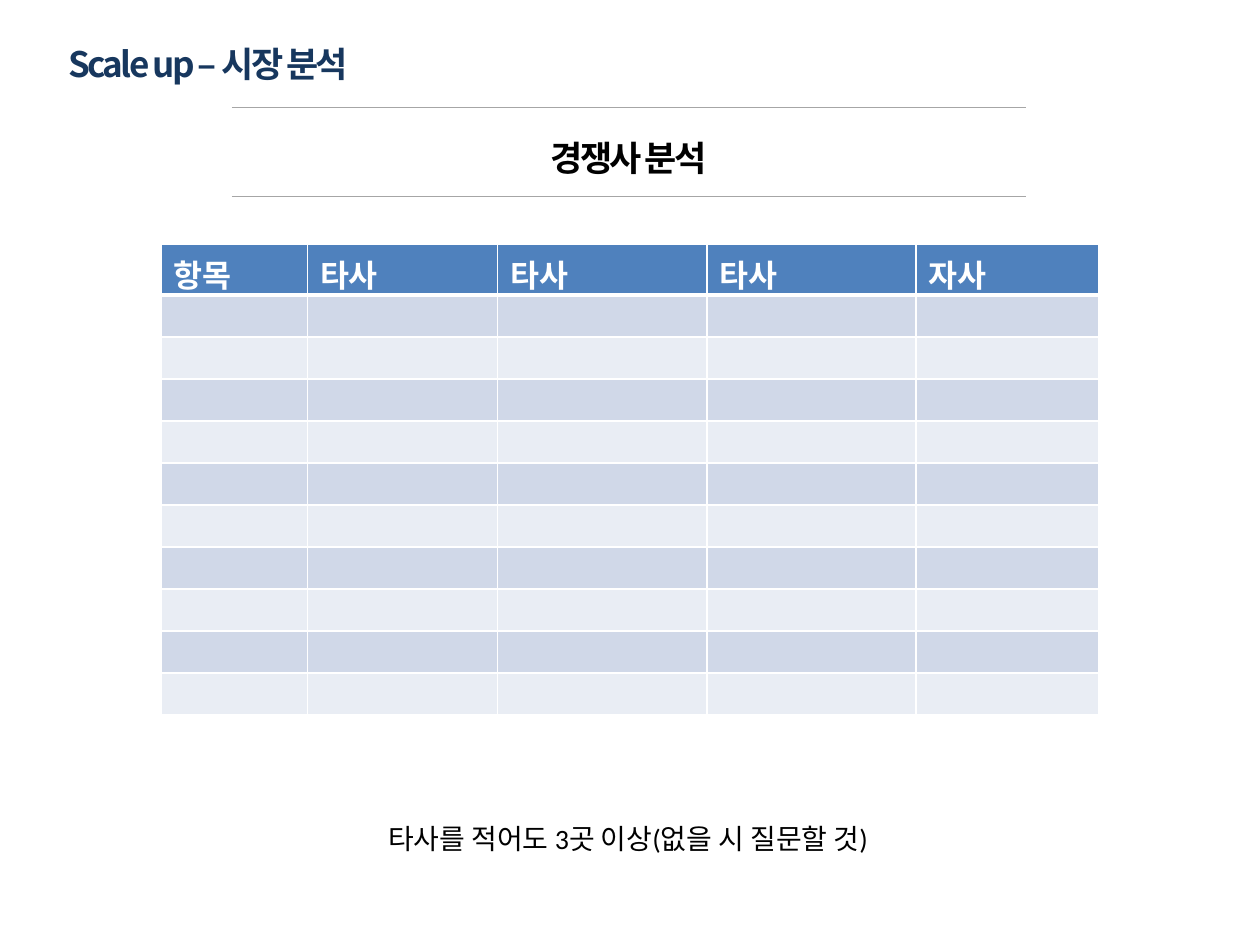
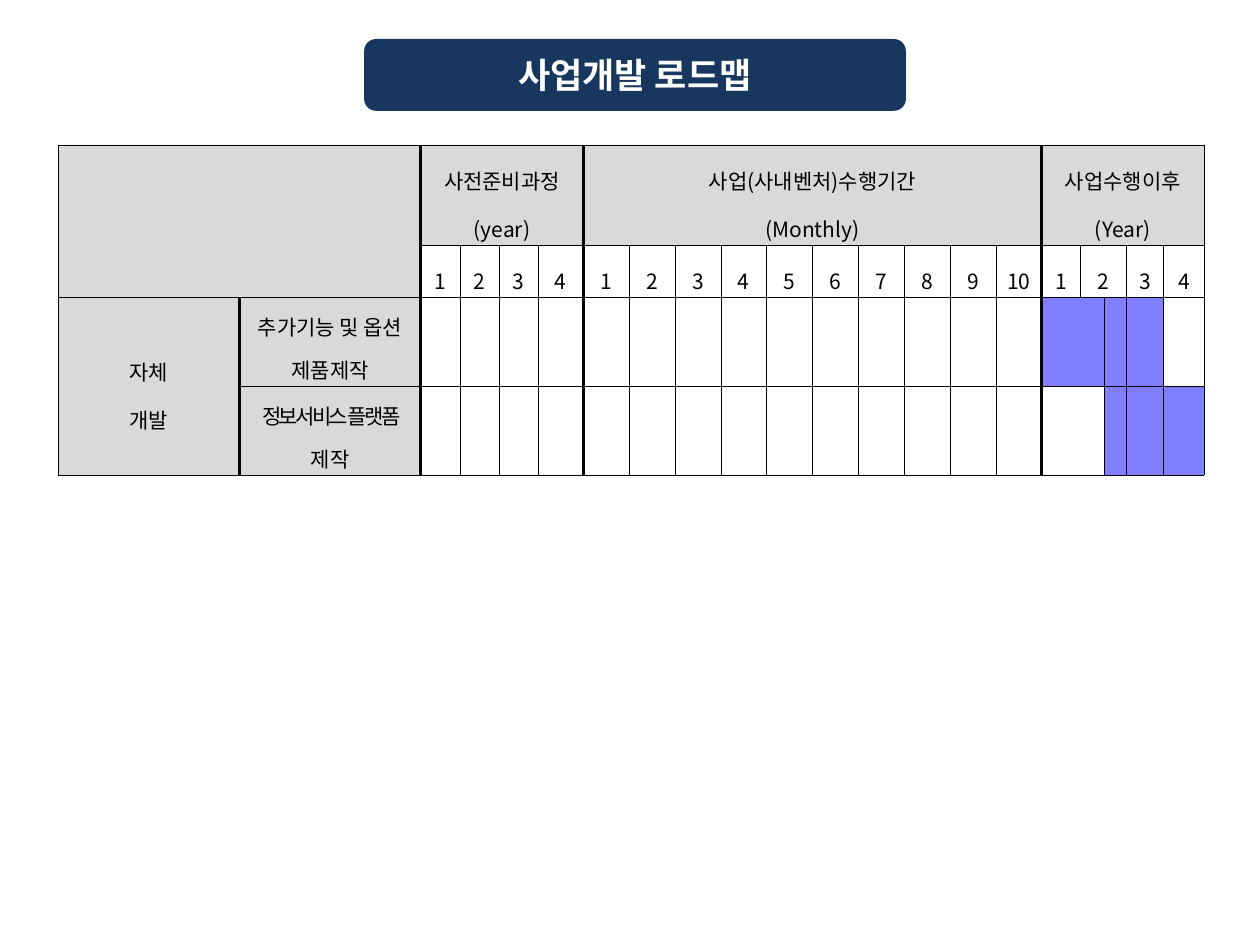
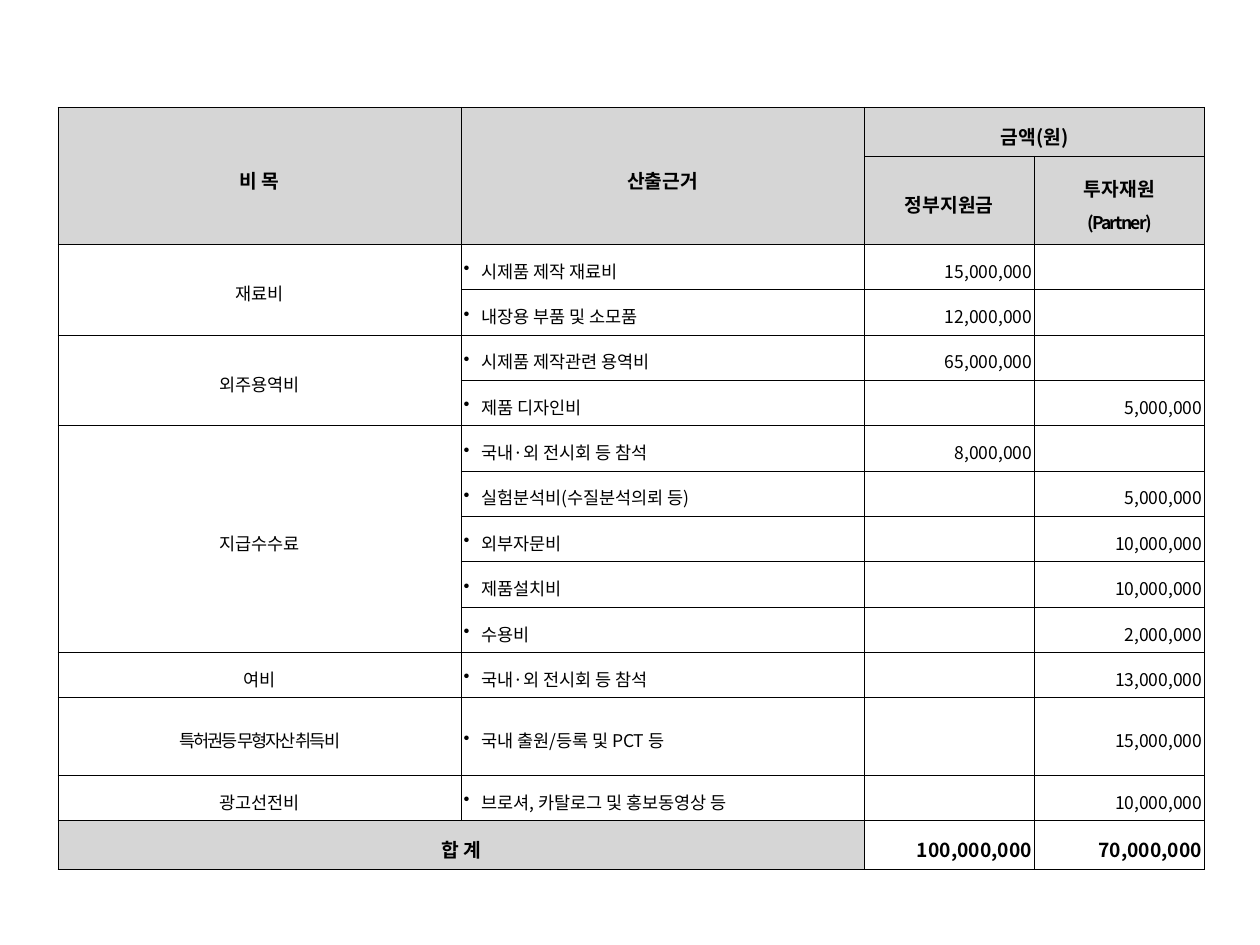
from dataclasses import dataclass, replace
from lxml import etree
from pptx import Presentation
from pptx.dml.color import RGBColor
from pptx.enum.shapes import MSO_CONNECTOR, MSO_SHAPE
from pptx.enum.text import MSO_ANCHOR, PP_ALIGN
from pptx.oxml.ns import qn
from pptx.util import Inches, Pt

WIDTH, HEIGHT = Inches(10), Inches(7.5)
LEFT, CENTER, RIGHT, JUSTIFY = PP_ALIGN.LEFT, PP_ALIGN.CENTER, PP_ALIGN.RIGHT, PP_ALIGN.JUSTIFY
MIDDLE = MSO_ANCHOR.MIDDLE
STRAIGHT, ROUNDED = MSO_CONNECTOR.STRAIGHT, MSO_SHAPE.ROUNDED_RECTANGLE

BLACK = RGBColor(0x00, 0x00, 0x00)
WHITE = RGBColor(0xFF, 0xFF, 0xFF)
NAVY = RGBColor(0x17, 0x37, 0x5E)
RULE_GRAY = RGBColor(0xA6, 0xA6, 0xA6)
HEADER_BLUE = RGBColor(0x4F, 0x81, 0xBD)
BAND_DARK = RGBColor(0xD0, 0xD8, 0xE8)
BAND_LIGHT = RGBColor(0xE9, 0xED, 0xF4)
ROADMAP_GRAY = RGBColor(0xD9, 0xD9, 0xD9)
BUDGET_GRAY = RGBColor(0xD6, 0xD6, 0xD6)
SCHEDULE_BLUE = RGBColor(0x7F, 0x7F, 0xFF)

KOREAN_FONT, LATIN_FONT = "Noto Sans CJK KR", "Calibri"
THIN, THICK = 0.28, 1.98


@dataclass(frozen=True)
class Style:
    size: float
    color: RGBColor = BLACK
    bold: bool = False
    font: str = KOREAN_FONT
    align: PP_ALIGN = CENTER
    line: float = 1
    tracking: float = 0
    bullet: bool = False


TITLE = Style(20, bold=True, tracking=-1.5)
BANNER = Style(20, WHITE, bold=True)
NOTE = Style(16, font=LATIN_FONT, line=2)
COMPETITOR_HEAD = Style(18, WHITE, bold=True, font=LATIN_FONT, align=LEFT)
ROADMAP_HEAD = Style(12, line=1.6)
ROADMAP_TASK = Style(12, line=1.4)
BUDGET_HEAD = Style(11, bold=True, line=1.3)
BUDGET_ITEM = Style(10, line=1.3)
BUDGET_BASIS = replace(BUDGET_ITEM, align=JUSTIFY, bullet=True)
BUDGET_AMOUNT = replace(BUDGET_ITEM, align=RIGHT)
BUDGET_TOTAL = replace(BUDGET_HEAD, align=RIGHT)


def across(percent):
    return round(WIDTH * percent / 100)


def down(percent):
    return round(HEIGHT * percent / 100)


def place(left, top, width, height):
    return across(left), down(top), across(width), down(height)


def format_span(span, style):
    span.font.size = Pt(style.size)
    span.font.bold = style.bold
    span.font.name = style.font
    span.font.color.rgb = style.color
    properties = span._r.get_or_add_rPr()
    properties.set("spc", str(round(style.tracking * 100)))
    etree.SubElement(properties, qn("a:ea")).set("typeface", KOREAN_FONT)


def write(frame, text, style):
    frame.text = text
    for para in frame.paragraphs:
        if style.bullet:
            properties = para._p.get_or_add_pPr()
            properties.set("marL", str(Inches(0.14)))
            properties.set("indent", str(-Inches(0.14)))
            etree.SubElement(properties, qn("a:buChar")).set("char", "•")
        para.alignment = style.align
        para.line_spacing = style.line
        for span in para.runs:
            format_span(span, style)


def add_text(page, area, text, style, inset=None, wrap=True):
    frame = page.shapes.add_textbox(*place(*area)).text_frame
    frame.word_wrap = wrap
    if inset is not None:
        frame.margin_left = frame.margin_right = inset
        frame.margin_top = frame.margin_bottom = inset
    write(frame, text, style)


def add_rule(page, left, right, top):
    rule = page.shapes.add_connector(STRAIGHT, across(left), down(top), across(right), down(top))
    rule.line.color.rgb = RULE_GRAY
    rule.line.width = Pt(0.5)
    etree.SubElement(rule._element.spPr, qn("a:effectLst"))


def add_banner(page, area, text):
    banner = page.shapes.add_shape(ROUNDED, *place(*area))
    banner.shadow.inherit = False
    banner.fill.solid()
    banner.fill.fore_color.rgb = NAVY
    banner.line.fill.background()
    banner.text_frame.vertical_anchor = MIDDLE
    write(banner.text_frame, text, BANNER)


def add_grid(page, left, top, columns, rows, empty_size):
    table = page.shapes.add_table(len(rows), len(columns),
                                  *place(left, top, sum(columns), sum(rows))).table
    table.first_row = table.horz_banding = False
    for column, width in zip(table.columns, columns):
        column.width = across(width)
    for row, height in zip(table.rows, rows):
        row.height = down(height)
    for cell in table.iter_cells():
        cell.fill.background()
        end = etree.SubElement(cell.text_frame.paragraphs[0]._p, qn("a:endParaRPr"))
        end.set("sz", str(empty_size * 100))
    return table


def set_margins(table, side, edge):
    for cell in table.iter_cells():
        cell.vertical_anchor = MIDDLE
        cell.margin_left = cell.margin_right = Inches(side)
        cell.margin_top = cell.margin_bottom = Inches(edge)


def fill_cell(cell, color):
    cell.fill.solid()
    cell.fill.fore_color.rgb = color


def put(table, row, column, text, style, color=None, height=1, width=1):
    cell = table.cell(row, column)
    if height * width > 1:
        cell.merge(table.cell(row + height - 1, column + width - 1))
    if text:
        write(cell.text_frame, text, style)
    if color is not None:
        fill_cell(cell, color)
    return cell


def set_borders(cell, color, widths):
    properties = cell._tc.get_or_add_tcPr()
    for index, (side, width) in enumerate(zip("LRTB", widths)):
        line = etree.Element(qn("a:ln" + side), w=str(Pt(width)))
        fill = etree.SubElement(line, qn("a:solidFill"))
        etree.SubElement(fill, qn("a:srgbClr")).set("val", str(color))
        properties.insert(index, line)


def rule_grid(table, thick_columns=()):
    for row in range(len(table.rows)):
        for column in range(len(table.columns)):
            cell = table.cell(row, column)
            if cell.is_spanned:
                continue
            end = column + (cell.span_width if cell.is_merge_origin else 1)
            sides = [THICK if edge in thick_columns else THIN for edge in (column, end)]
            set_borders(cell, BLACK, sides + [THIN, THIN])


def build_competitors(page):
    add_text(page, (15.3, 11.6, 69.2, 7.2), "경쟁사 분석", replace(TITLE, line=1.5))
    for top in (11.33, 20.8):
        add_rule(page, 18.4, 81.4, top)
    add_text(page, (5.4, 4.53, 31.3, 4.53), "Scale up – 시장 분석",
             replace(TITLE, color=NAVY, align=LEFT), inset=0)
    table = add_grid(page, 12.8, 25.87, [11.6, 15.1, 16.6, 16.6, 14.5], [5.2] + [4.45] * 10, 10)
    for column, text in enumerate(["항목", "타사", "타사", "타사", "자사"]):
        cell = put(table, 0, column, text, COMPETITOR_HEAD, HEADER_BLUE)
        set_borders(cell, WHITE, [1, 1, 1, 3])
        for row in range(1, 11):
            cell = put(table, row, column, "", None, BAND_DARK if row % 2 else BAND_LIGHT)
            set_borders(cell, WHITE, [1, 1, 3 if row == 1 else 1, 1])
    add_text(page, (28.1, 82.67, 43.5, 8.53), "타사를 적어도 3곳 이상(없을 시 질문할 것)",
             NOTE, wrap=False)


def build_roadmap(page):
    columns = [14.4] * 2 + [3.1] * 3 + [3.6] + [3.64] * 10 + [3.1, 1.9, 1.7, 3, 3.2]
    table = add_grid(page, 4.6, 15.33, columns, [10.67, 5.47, 9.4, 9.4], 12)
    set_margins(table, 0.05, 0.01)
    put(table, 0, 0, "", None, ROADMAP_GRAY, height=2, width=2)
    phases = [(2, 4, "사전준비과정\n(year)"), (6, 10, "사업(사내벤처)수행기간\n(Monthly)"),
              (16, 5, "사업수행이후\n(Year)")]
    for start, width, text in phases:
        put(table, 0, start, text, ROADMAP_HEAD, ROADMAP_GRAY, width=width)
    for start, count in ((2, 4), (6, 10)):
        for step in range(count):
            put(table, 1, start + step, str(step + 1), ROADMAP_HEAD)
    for number, (column, width) in enumerate([(16, 1), (17, 2), (19, 1), (20, 1)], 1):
        put(table, 1, column, str(number), ROADMAP_HEAD, width=width)
    put(table, 2, 0, "자체\n개발", ROADMAP_HEAD, ROADMAP_GRAY, height=2)
    put(table, 2, 1, "추가기능 및 옵션 제품제작", ROADMAP_TASK, ROADMAP_GRAY)
    platform = put(table, 3, 1, "정보서비스 플랫폼 ", replace(ROADMAP_TASK, tracking=-1.5),
                   ROADMAP_GRAY)
    ending = platform.text_frame.paragraphs[0].add_run()
    ending.text = "제작"
    format_span(ending, ROADMAP_TASK)
    for row, busy in ((2, (16, 18, 19)), (3, (18, 19, 20))):
        put(table, row, 16, "", None, width=2)
        for column in busy:
            fill_cell(table.cell(row, column), SCHEDULE_BLUE)
    rule_grid(table, thick_columns=(1, 2, 6, 16))
    add_banner(page, (28.9, 4.13, 43, 7.6), "사업개발 로드맵")


BUDGET = [
    ("재료비", [("시제품 제작 재료비", "15,000,000", ""),
             ("내장용 부품 및 소모품", "12,000,000", "")]),
    ("외주용역비", [("시제품 제작관련 용역비", "65,000,000", ""),
               ("제품 디자인비", "", "5,000,000")]),
    ("지급수수료", [("국내·외 전시회 등 참석", "8,000,000", ""),
               ("실험분석비(수질분석의뢰 등)", "", "5,000,000"),
               ("외부자문비", "", "10,000,000"),
               ("제품설치비", "", "10,000,000"),
               ("수용비", "", "2,000,000")]),
    ("여비", [("국내·외 전시회 등 참석", "", "13,000,000")]),
    ("특허권등 무형자산 취득비", [("국내 출원/등록 및 PCT 등", "", "15,000,000")]),
    ("광고선전비", [("브로셔, 카탈로그 및 홍보동영상 등", "", "10,000,000")]),
]


def build_budget(page):
    rows = [5.2, 9.33] + [4.8] * 10 + [8.2, 4.8, 5.2]
    table = add_grid(page, 4.6, 11.33, [32, 32, 13.5, 13.5], rows, 10)
    set_margins(table, 0.02, 0.02)
    put(table, 0, 0, "비 목", BUDGET_HEAD, BUDGET_GRAY, height=2)
    put(table, 0, 1, "산출근거", BUDGET_HEAD, BUDGET_GRAY, height=2)
    put(table, 0, 2, "금액(원)", BUDGET_HEAD, BUDGET_GRAY, width=2)
    put(table, 1, 2, "정부지원금", BUDGET_HEAD, BUDGET_GRAY)
    investor = put(table, 1, 3, "투자재원\v(Partner)", BUDGET_HEAD, BUDGET_GRAY)
    investor_name = investor.text_frame.paragraphs[0].runs[1]
    investor_name.font.size = Pt(10)
    investor_name._r.rPr.set("spc", "-100")
    row = 2
    for item, entries in BUDGET:
        tracking = -1.1 if item.startswith("특허권") else 0
        put(table, row, 0, item, replace(BUDGET_ITEM, tracking=tracking), height=len(entries))
        for basis, grant, investment in entries:
            put(table, row, 1, basis, BUDGET_BASIS)
            put(table, row, 2, grant, BUDGET_AMOUNT)
            put(table, row, 3, investment, BUDGET_AMOUNT)
            row += 1
    put(table, row, 0, "합 계", BUDGET_HEAD, BUDGET_GRAY, width=2)
    put(table, row, 2, "100,000,000", BUDGET_TOTAL)
    put(table, row, 3, "70,000,000", BUDGET_TOTAL)
    rule_grid(table)


def main():
    deck = Presentation()
    deck.slide_width, deck.slide_height = WIDTH, HEIGHT
    blank = deck.slide_layouts[6]
    for build in (build_competitors, build_roadmap, build_budget):
        build(deck.slides.add_slide(blank))
    deck.save("out.pptx")


if __name__ == "__main__":
    main()
